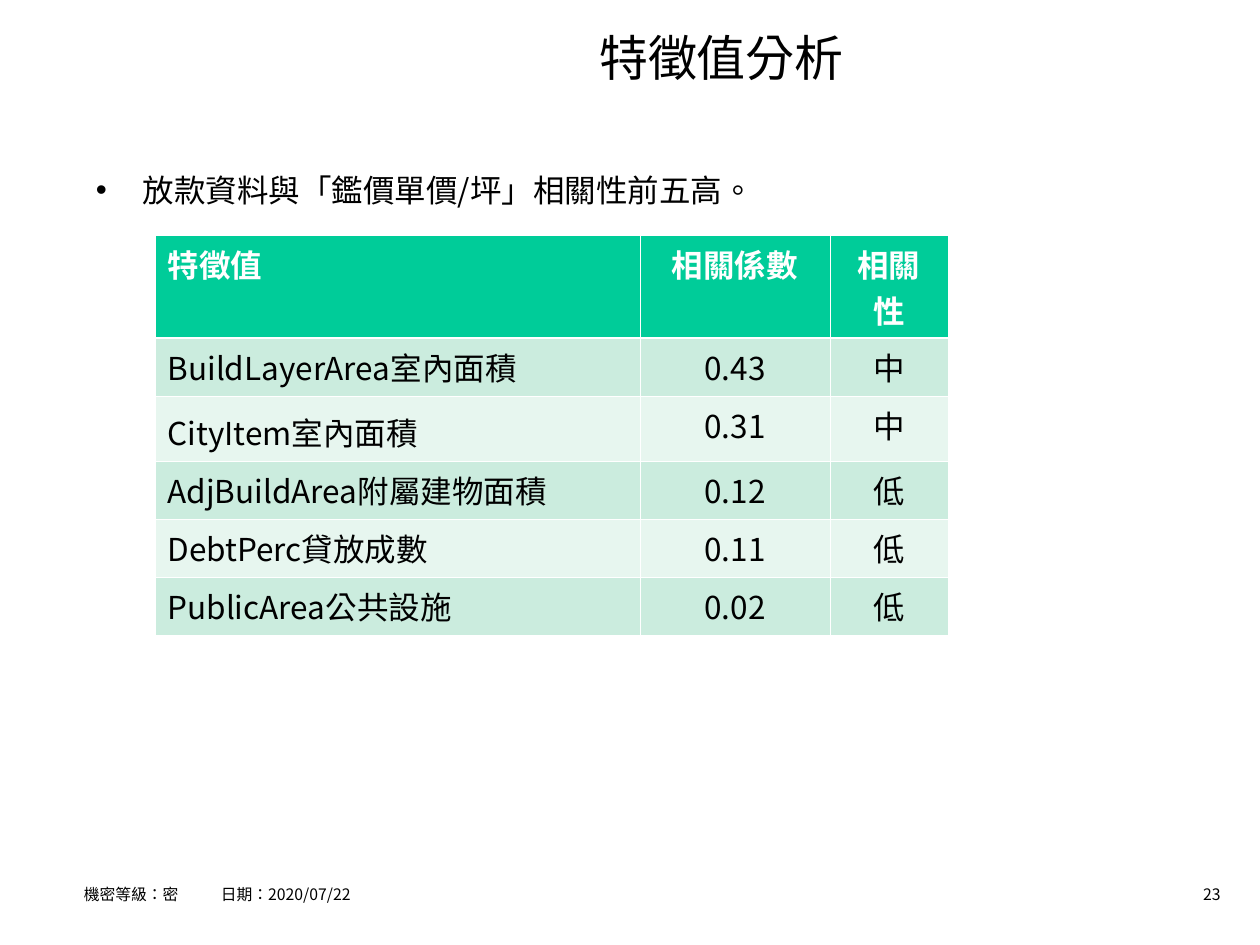
from dataclasses import dataclass

from lxml import etree
from pptx import Presentation
from pptx.dml.color import RGBColor
from pptx.enum import text
from pptx.oxml import ns
from pptx import util as u

PX = u.Inches(1) / 126
FONT = "Noto Sans CJK SC"
LANGUAGE = "zh-TW"
BLACK = RGBColor(0, 0, 0)
WHITE = RGBColor(255, 255, 255)
GREEN = RGBColor(0x00, 0xCC, 0x99)
MINT = RGBColor(0xCB, 0xEC, 0xDE)
PALE = RGBColor(0xE7, 0xF6, 0xEF)
LEFT, CENTER, RIGHT = text.PP_ALIGN.LEFT, text.PP_ALIGN.CENTER, text.PP_ALIGN.RIGHT


@dataclass(frozen=True)
class Box:
    left: int
    top: int
    width: int
    height: int

    def emu(self) -> tuple:
        return tuple(px(side) for side in (self.left, self.top, self.width, self.height))


@dataclass(frozen=True)
class Feature:
    name: str
    coefficient: str
    relevance: str
    height: int = 58
    spacing: float = 1.0


HEADER = Feature("特徵值", "相關係數", "相關性", height=103)
FEATURES = [
    Feature("BuildLayerArea室內面積", "0.43", "中"),
    Feature("CityItem室內面積", "0.31", "中", height=65, spacing=1.15),
    Feature("AdjBuildArea附屬建物面積", "0.12", "低"),
    Feature("DebtPerc貸放成數", "0.11", "低"),
    Feature("PublicArea公共設施", "0.02", "低"),
]
ROWS = [HEADER, *FEATURES]
COLUMN_WIDTHS = (485, 190, 118)


def px(length: int) -> u.Emu:
    return u.Emu(round(length * PX))


def add_element(parent, tag: str, **attributes):
    return etree.SubElement(parent, ns.qn(tag), attributes)


def write(frame, content: str, *, size=18, color=BLACK, bold=False, align=LEFT,
          spacing=1.0, bullet_indent=0, tab=0) -> None:
    paragraph = frame.paragraphs[0]
    paragraph.alignment = align
    paragraph.line_spacing = spacing
    properties = paragraph._p.get_or_add_pPr()
    if bullet_indent:
        properties.set("marL", str(px(bullet_indent)))
        properties.set("indent", str(-px(bullet_indent)))
        add_element(properties, "a:buFont", typeface="Arial")
        add_element(properties, "a:buChar", char="•")
    if tab:
        tabs = add_element(properties, "a:tabLst")
        add_element(tabs, "a:tab", pos=str(px(tab)), algn="l")
    run = paragraph.add_run()
    run.text = content
    run.font.size = u.Pt(size)
    run.font.bold = bold
    run.font.color.rgb = color
    run.font.name = FONT
    run.font._element.set("lang", LANGUAGE)
    add_element(run.font._element, "a:ea", typeface=FONT)


def add_text(slide, box: Box, content: str, *, inset=13, **style) -> None:
    frame = slide.shapes.add_textbox(*box.emu()).text_frame
    frame.word_wrap = True
    frame.margin_left = px(inset)
    write(frame, content, **style)


def set_borders(cell, top: float, bottom: float) -> None:
    properties = cell._tc.get_or_add_tcPr()
    widths = {"a:lnL": 0.45, "a:lnR": 0.45, "a:lnT": top, "a:lnB": bottom}
    for index, (tag, width) in enumerate(widths.items()):
        line = etree.Element(ns.qn(tag), {"w": str(u.Pt(width))})
        fill = add_element(line, "a:solidFill")
        add_element(fill, "a:srgbClr", val=str(WHITE))
        properties.insert(index, line)


def add_feature_table(slide, left: int, top: int) -> None:
    box = Box(left, top, sum(COLUMN_WIDTHS), sum(row.height for row in ROWS))
    table = slide.shapes.add_table(len(ROWS), len(COLUMN_WIDTHS), *box.emu()).table
    for column, width in zip(table.columns, COLUMN_WIDTHS):
        column.width = px(width)
    for row_index, feature in enumerate(ROWS):
        table.rows[row_index].height = px(feature.height)
        is_header = row_index == 0
        fill = GREEN if is_header else (PALE, MINT)[row_index % 2]
        values = (feature.name, feature.coefficient, feature.relevance)
        for column_index, value in enumerate(values):
            cell = table.cell(row_index, column_index)
            cell.fill.solid()
            cell.fill.fore_color.rgb = fill
            set_borders(cell, top=1.47 if row_index == 1 else 0.45,
                        bottom=1.47 if is_header else 0.45)
            write(cell.text_frame, value, bold=is_header,
                  color=WHITE if is_header else BLACK,
                  align=CENTER if column_index else LEFT,
                  spacing=1.0 if column_index else feature.spacing)


def set_title(slide, box: Box, content: str) -> None:
    title = slide.shapes.title
    title.left, title.top, title.width, title.height = box.emu()
    frame = title.text_frame
    frame.auto_size = text.MSO_AUTO_SIZE.NONE
    frame.vertical_anchor = text.MSO_ANCHOR.TOP
    write(frame, content, size=28, align=CENTER)


def main() -> None:
    presentation = Presentation()
    presentation.slide_width = px(1260)
    presentation.slide_height = px(945)
    slide = presentation.slides.add_slide(presentation.slide_layouts[5])
    set_title(slide, Box(291, 21, 861, 74), "特徵值分析")
    add_text(slide, Box(83, 165, 1101, 704), "放款資料與「鑑價單價/坪」相關性前五高。",
             bullet_indent=47)
    add_feature_table(slide, 155, 235)
    add_text(slide, Box(84, 869, 935, 39), "機密等級：密\t日期：2020/07/22",
             inset=0, size=9, spacing=1.5, tab=137)
    add_text(slide, Box(1147, 879, 86, 32), "23", size=9, align=RIGHT)
    presentation.save("out.pptx")


if __name__ == "__main__":
    main()
